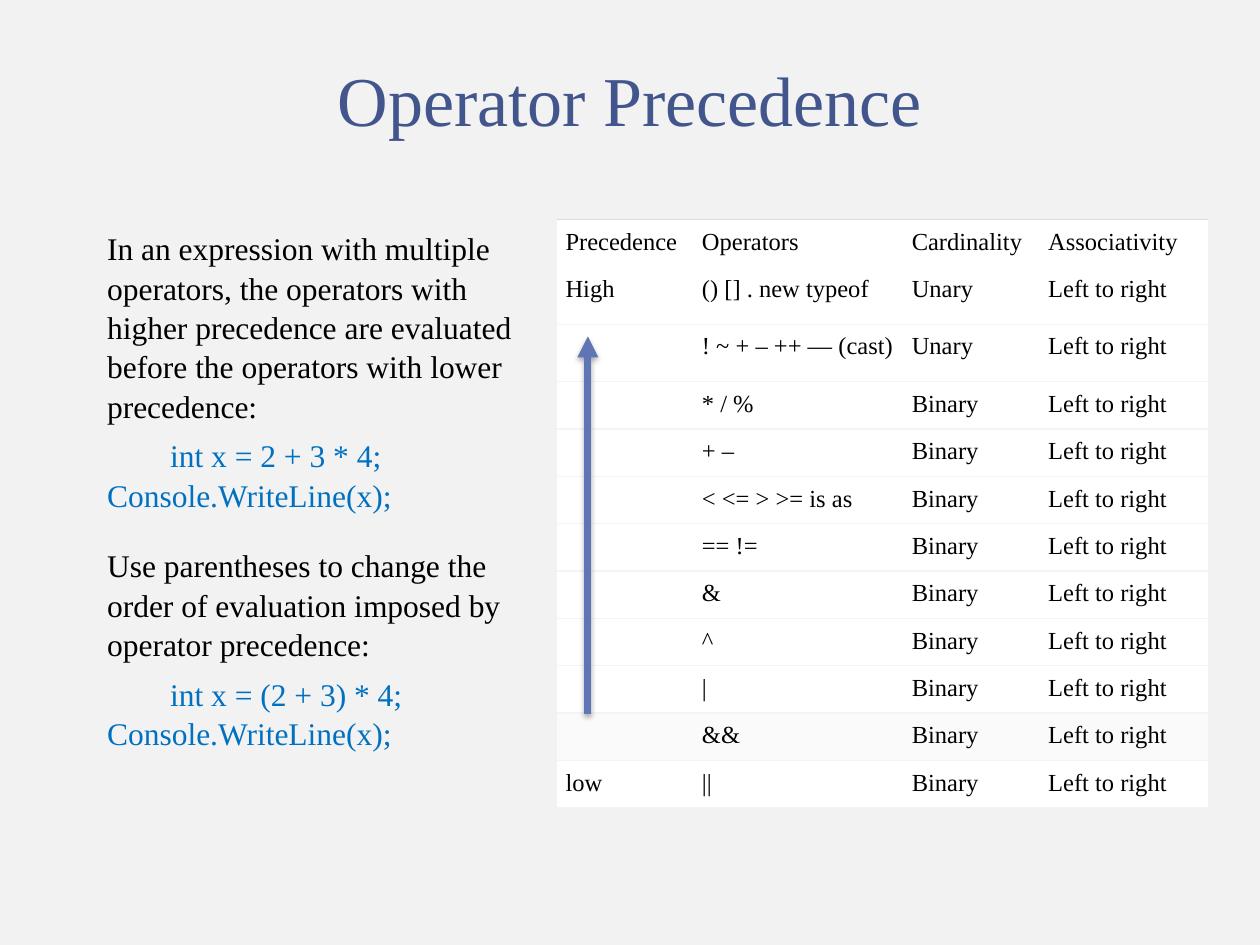
from lxml import etree
from pptx import Presentation
from pptx import util as u
from pptx.dml.color import RGBColor
from pptx.enum import shapes, text
from pptx.oxml import parse_xml
from pptx.oxml.ns import nsdecls, qn

FONT = "Times New Roman"
BLACK, BLUE, TITLE_BLUE, ARROW_BLUE = "000000", "0070C0", "42568D", "6076B4"
WHITE, OFF_WHITE, BACKGROUND = "FFFFFF", "FAFAFA", "F2F2F2"
HEADER_RULE, ROW_RULE = "DDDDDD", "F4F4F4"

TITLE = "Operator Precedence"
EXPLANATIONS = [
    ("In an expression with multiple operators, the operators with higher "
     "precedence are evaluated before the operators with lower precedence:",
     "int x = 2 + 3 * 4;\vConsole.WriteLine(x);"),
    ("Use parentheses to change the order of evaluation imposed by operator precedence:",
     "int x = (2 + 3) * 4;\vConsole.WriteLine(x);"),
]
HEADINGS = ["Precedence", "Operators", "Cardinality", "Associativity"]
OPERATORS = {
    "Unary": ["() [] . new typeof", "! ~ + – ++ — (cast)"],
    "Binary": ["* / %", "+ –", "< <= > >= is as", "== !=", "&", "^", "|", "&&", "||"],
}
LEVELS = {"() [] . new typeof": "High", "||": "low"}
COLUMN_WIDTHS = [2.75, 4.23, 2.75, 3.4]


def color(value):
    return RGBColor.from_string(value)


def write(paragraph, content, size=14, fill=BLACK, align=text.PP_ALIGN.LEFT,
          after=0, spacing=None, left=0, first=0):
    paragraph.text = content
    paragraph.alignment = align
    paragraph.space_before, paragraph.space_after = u.Pt(0), u.Pt(after)
    if spacing:
        paragraph.line_spacing = spacing
    properties = paragraph._p.get_or_add_pPr()
    properties.set("marL", str(u.Cm(left)))
    properties.set("indent", str(u.Cm(first)))
    for run in paragraph.runs:
        run.font.name, run.font.size = FONT, u.Pt(size)
        run.font.color.rgb = color(fill)
    if not content:
        etree.SubElement(paragraph._p, qn("a:endParaRPr"), sz=str(size * 100))


def set_border(cell, side, value):
    properties = cell._tc.get_or_add_tcPr()
    line = etree.SubElement(properties, qn(f"a:ln{side}"), w=str(u.Pt(0.75)))
    if value:
        fill = etree.SubElement(line, qn("a:solidFill"))
        etree.SubElement(fill, qn("a:srgbClr"), val=value)
    else:
        etree.SubElement(line, qn("a:noFill"))


def add_title(slide):
    title = slide.shapes.title
    title.left, title.top, title.width, title.height = map(u.Cm, (1.83, 0.84, 21.74, 2.97))
    frame = title.text_frame
    frame.vertical_anchor = text.MSO_ANCHOR.TOP
    frame.margin_top = u.Cm(0.3)
    write(frame.paragraphs[0], TITLE, size=40, fill=TITLE_BLUE, align=text.PP_ALIGN.CENTER)


def add_explanations(slide):
    frame = slide.shapes.add_textbox(*map(u.Cm, (0.64, 4.47, 10.77, 10.57))).text_frame
    frame.word_wrap = True
    paragraph = frame.paragraphs[0]
    for number, (statement, code) in enumerate(EXPLANATIONS):
        if number:
            paragraph = frame.add_paragraph()
        write(paragraph, statement, size=18, after=6, spacing=1.04, left=1.27)
        write(frame.add_paragraph(), code, size=18, fill=BLUE, after=18,
              spacing=1.04, left=1.27, first=1.27)


def add_precedence_table(slide):
    rows = [HEADINGS] + [
        [LEVELS.get(operators, ""), operators, cardinality, "Left to right"]
        for cardinality, group in OPERATORS.items() for operators in group
    ]
    heights = [1.16 if row[2] == "Unary" else 0.93 for row in rows]
    frame = slide.shapes.add_table(
        len(rows), len(HEADINGS), u.Cm(11.22), u.Cm(4.42),
        u.Cm(sum(COLUMN_WIDTHS)), u.Cm(sum(heights)))
    table = frame.table
    table.first_row = table.horz_banding = False
    for column, width in zip(table.columns, COLUMN_WIDTHS):
        column.width = u.Cm(width)
    for index, (row, height) in enumerate(zip(rows, heights)):
        table.rows[index].height = u.Cm(height)
        top = {0: HEADER_RULE, 1: None}.get(index, ROW_RULE)
        bottom = ROW_RULE if index else None
        for cell, content in zip(table.rows[index].cells, row):
            for side, value in zip("LRTB", (None, None, top, bottom)):
                set_border(cell, side, value)
            cell.fill.solid()
            cell.fill.fore_color.rgb = color(OFF_WHITE if row[1] == "&&" else WHITE)
            cell.margin_left = cell.margin_right = u.Cm(0.18)
            cell.margin_top = cell.margin_bottom = u.Cm(0.18)
            write(cell.text_frame.paragraphs[0], content)


def add_precedence_arrow(slide):
    arrow = slide.shapes.add_connector(
        shapes.MSO_CONNECTOR.STRAIGHT, *map(u.Cm, (11.85, 14.39, 11.85, 6.78)))
    arrow.line.color.rgb = color(ARROW_BLUE)
    arrow.line.width = u.Pt(4)
    etree.SubElement(arrow.line._get_or_add_ln(), qn("a:tailEnd"), type="triangle")
    arrow._element.spPr.append(parse_xml(
        f'<a:effectLst {nsdecls("a")}>'
        f'<a:outerShdw blurRad="{u.Pt(3.1)}" dist="{u.Pt(1.8)}" dir="5400000" rotWithShape="0">'
        '<a:srgbClr val="000000"><a:alpha val="35000"/></a:srgbClr>'
        '</a:outerShdw></a:effectLst>'))


def main():
    presentation = Presentation()
    presentation.slide_width, presentation.slide_height = u.Cm(25.4), u.Cm(19.05)
    slide = presentation.slides.add_slide(presentation.slide_layouts[5])
    slide.background.fill.solid()
    slide.background.fill.fore_color.rgb = color(BACKGROUND)
    add_title(slide)
    add_explanations(slide)
    add_precedence_table(slide)
    add_precedence_arrow(slide)
    presentation.save("out.pptx")


if __name__ == "__main__":
    main()
